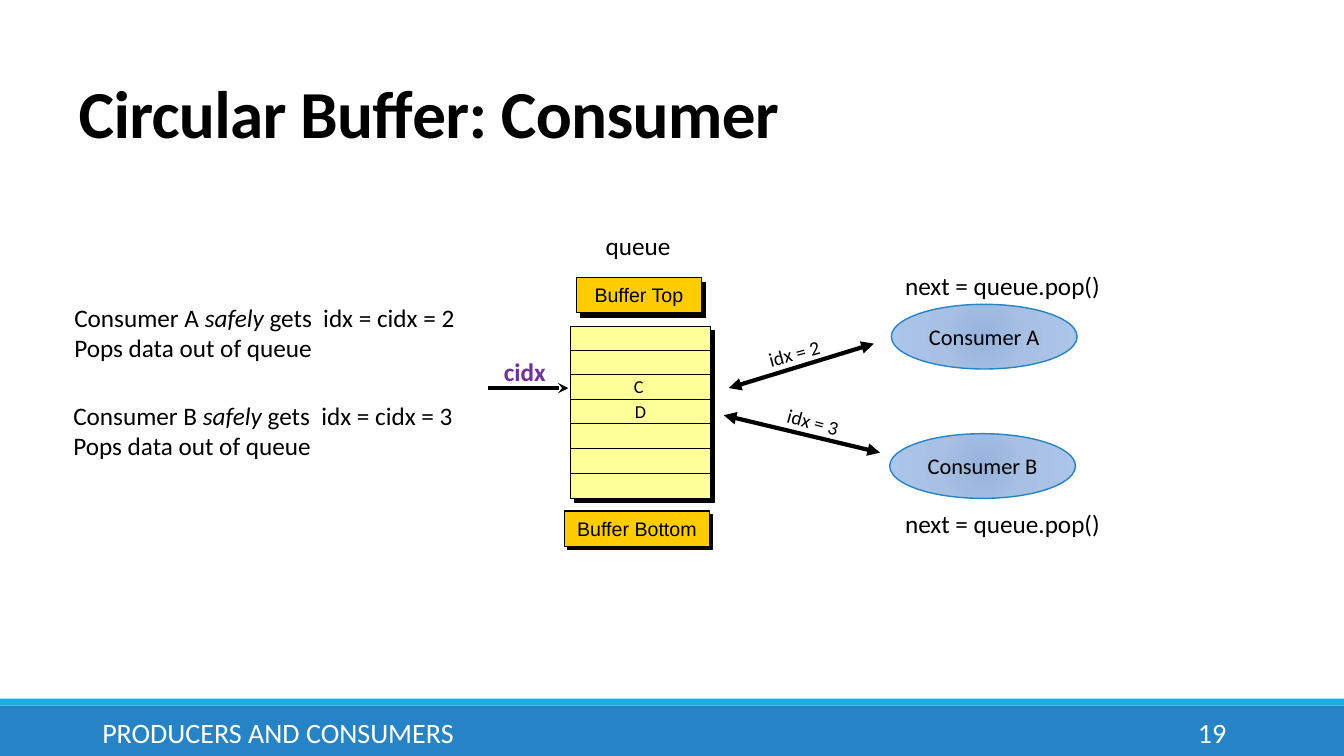
from pptx import Presentation
from pptx.dml.color import RGBColor
from pptx.enum import shapes as sh, text as tx
from pptx.oxml import parse_xml
from pptx.oxml.ns import qn, nsdecls
from pptx.util import Pt

hue = RGBColor.from_string
RECT, OVAL = sh.MSO_SHAPE.RECTANGLE, sh.MSO_SHAPE.OVAL
LEFT, MID, RIGHT = tx.PP_ALIGN.LEFT, tx.PP_ALIGN.CENTER, tx.PP_ALIGN.RIGHT

deck = Presentation()
deck.slide_width, deck.slide_height = Pt(960), Pt(540)
slide = deck.slides.add_slide(deck.slide_layouts[5])
items = slide.shapes


def box(kind, x, y, w, h, fill, line=None, width=0.75):
    form = items.add_shape(kind, Pt(x), Pt(y), Pt(w), Pt(h))
    form.shadow.inherit = False
    form.fill.solid()
    form.fill.fore_color.rgb = hue(fill)
    if line:
        form.line.color.rgb = hue(line)
        form.line.width = Pt(width)
    else:
        form.line.fill.background()
    return form


def write(form, words, size, color="000000", align=LEFT, face="Calibri", wrap=False):
    """Each line of words is a list of runs; every second run is italic."""
    frame = form.text_frame
    frame.word_wrap = wrap
    for i, line in enumerate(words):
        para = frame.add_paragraph() if i else frame.paragraphs[0]
        for j, part in enumerate(line):
            run = para.add_run()
            run.text = part
            if j % 2:
                run.font.italic = True
        para.alignment = align
        para.font.size = Pt(size)
        para.font.name = face
        para.font.color.rgb = hue(color)
    return frame


# Title
title = items.title
title.left, title.top, title.width, title.height = Pt(49), Pt(51), Pt(792), Pt(61)
frame = write(title, [["Circular Buffer: Consumer"]], 48, wrap=True)
frame.auto_size = tx.MSO_AUTO_SIZE.NONE
frame.vertical_anchor = tx.MSO_ANCHOR.BOTTOM
para = frame.paragraphs[0]
para.line_spacing = 0.85
para.font.bold = True
para.runs[0].font.size = Pt(48)
para.runs[0].font._element.set("spc", "-50")

# Footer
box(RECT, 0, 504, 960, 36, "2683C6")
box(RECT, 0, 499, 960, 5, "1CADE4")
for words, x, w, align in [("PRODUCERS AND CONSUMERS", 66, 604, LEFT), ("19", 780, 103, RIGHT)]:
    note = items.add_textbox(Pt(x), Pt(508.5), Pt(w), Pt(28.75))
    frame = write(note, [[words]], 20, "FFFFFF", align, wrap=True)
    frame.vertical_anchor = tx.MSO_ANCHOR.MIDDLE

# Buffer with its end plates, each on a black backing
for words, x, y, w, h, dx, dy, fill in [
    ("", 407.5, 233.3, 100, 122.5, 3, 3, "FFFF99"),
    ("Buffer Top", 411.8, 198, 89.3, 25.2, 2.9, 3.6, "FFCC00"),
    ("Buffer Bottom", 403.2, 365, 103.7, 25.2, 2.2, 2.2, "FFCC00"),
]:
    box(RECT, x + dx, y + dy, w, h, "000000", "000000")
    plate = box(RECT, x, y, w, h, fill, "000000")
    if words:
        write(plate, [[words]], 14, align=MID, face="Arial")

# Row rules, then arrows: from, to, width, head, tail
rules = [(407.5, 232.5 + 17.57 * i, 507.5, 232.5 + 17.57 * i, 0.75, None, None)
         for i in range(1, 7)]
arrows = [
    (406, 277.2, 348.5, 277.2, 2.5, "stealth", None),
    (520.6, 277.2, 624.2, 245.5, 3, "triangle", "triangle"),
    (517, 296.6, 628.6, 323.3, 3, "triangle", "triangle"),
]
for x, y, x2, y2, width, head, tail in rules + arrows:
    link = items.add_connector(sh.MSO_CONNECTOR.STRAIGHT, Pt(x), Pt(y), Pt(x2), Pt(y2))
    link.line.color.rgb = hue("000000")
    link.line.width = Pt(width)
    props = link._element.spPr
    for tag, tip in [("headEnd", head), ("tailEnd", tail)]:
        if tip:
            props.find(qn("a:ln")).append(
                parse_xml(f'<a:{tag} {nsdecls("a")} type="{tip}"/>'))
    props.append(parse_xml(f'<a:effectLst {nsdecls("a")}/>'))

# Consumers and what each one does
stops = "".join(f'<a:gs pos="{pos}000"><a:srgbClr val="{tint}"/></a:gs>'
                for pos, tint in [(0, "95B3DD"), (45, "A7C0E3"), (100, "ACC6EB")])
glow = (f'<a:gradFill {nsdecls("a")} rotWithShape="1"><a:gsLst>{stops}</a:gsLst>'
        '<a:path path="circle"><a:fillToRect l="100000" t="100000" r="100000" b="100000"/>'
        '</a:path></a:gradFill>')
for name, idx, x, y, left, top in [("A", 2, 636.7, 217.4, 46, 212.4),
                                   ("B", 3, 635.5, 309.8, 45.3, 282.2)]:
    oval = box(OVAL, x, y, 132.7, 46.2, "A7C0E3", "2683C6", 1)
    props = oval._element.spPr
    props.replace(props.find(qn("a:solidFill")), parse_xml(glow))
    write(oval, [[f"Consumer {name}"]], 16, align=MID, wrap=True)
    note = items.add_textbox(Pt(left), Pt(top), Pt(309.6), Pt(51))
    write(note, [[f"Consumer {name} ", "safely", f" gets  idx = cidx = {idx}"],
                 ["Pops data out of queue"]], 18, wrap=True)

# Labels: words, left, top, width, height, size, turn
for words, x, y, w, h, size, turn in [
    ("cidx", 352.8, 250.6, 44.6, 29, 18, 0),
    ("queue", 425.5, 161.3, 61.2, 29, 18, 0),
    ("next = queue.pop()", 639.4, 189.4, 155.5, 29, 18, 0),
    ("next = queue.pop()", 639.4, 359.3, 155.5, 29, 18, 0),
    ("idx = 2", 541.4, 238.3, 67, 24.5, 14, 344.7),
    ("idx = 3", 555.1, 289.4, 51.8, 24.5, 14, 15.4),
    ("C", 445.7, 264.2, 21.6, 23, 13, 0),
    ("D", 446.4, 282.2, 22.3, 23, 13, 0),
]:
    label = items.add_textbox(Pt(x), Pt(y), Pt(w), Pt(h))
    label.rotation = turn
    color = "7030A0" if words == "cidx" else "000000"
    frame = write(label, [[words]], size, color)
    frame.auto_size = tx.MSO_AUTO_SIZE.SHAPE_TO_FIT_TEXT
    frame.paragraphs[0].font.bold = words == "cidx"

deck.save("out.pptx")
